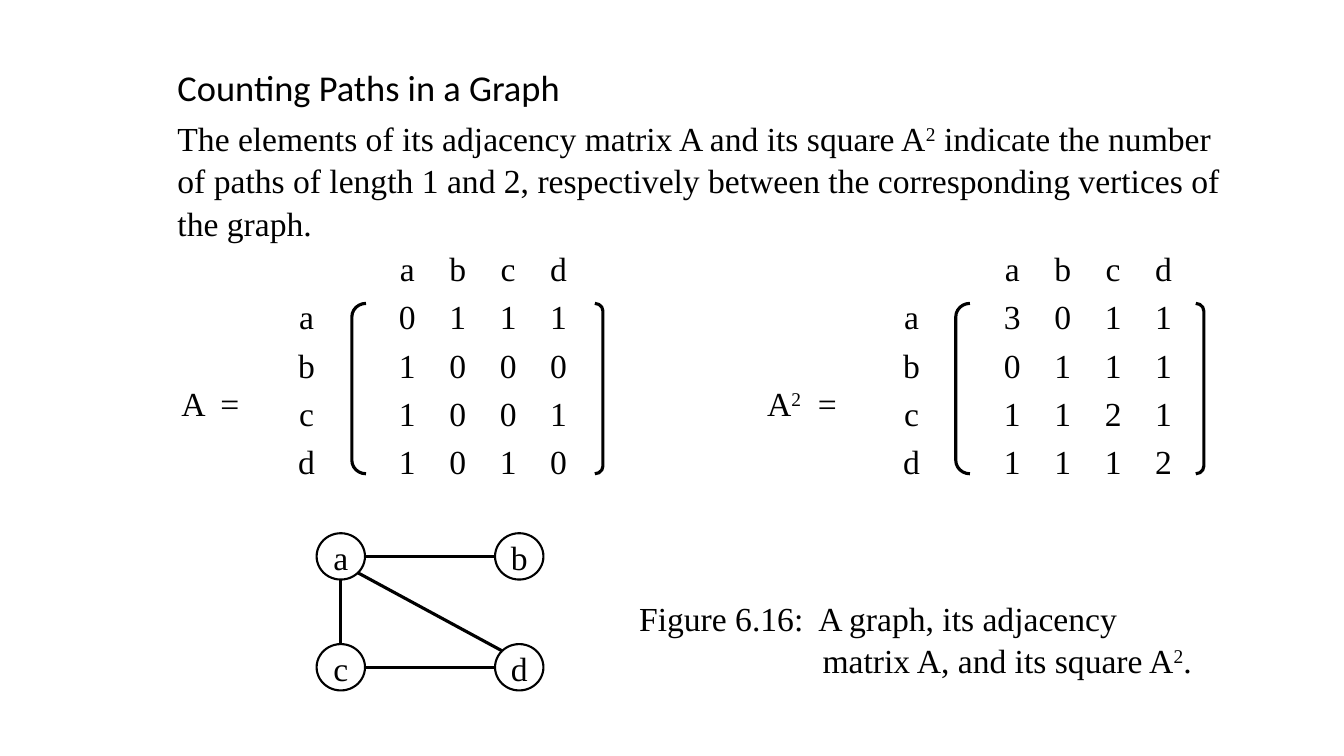
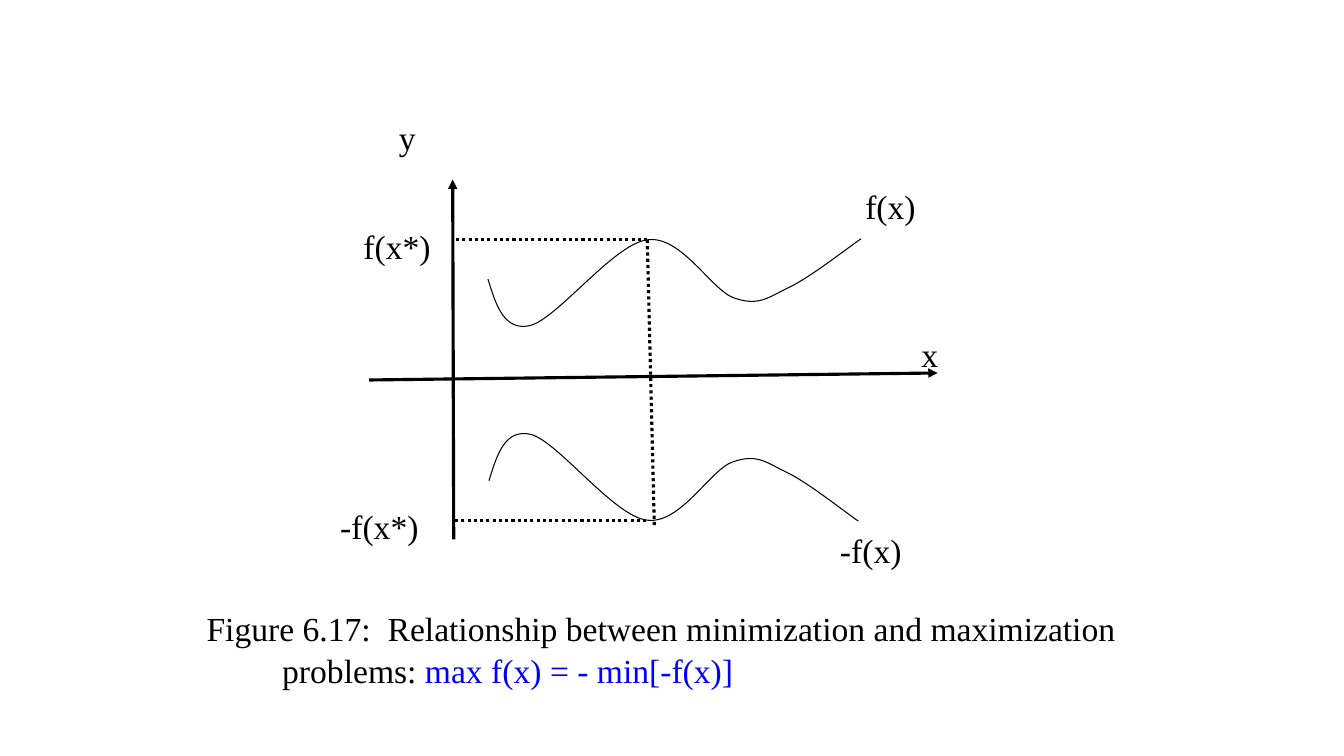
"""Build two slides on counting paths in a graph and on minimization versus maximization."""
from dataclasses import dataclass
from math import hypot
from typing import NamedTuple, Optional

from lxml import etree
from pptx import Presentation
from pptx import slide as sl
from pptx import util as u
from pptx.dml import color as dc
from pptx.enum import dml as ed
from pptx.enum import shapes as es
from pptx.enum import text as et
from pptx.oxml import ns
from pptx.text import text as tx

Point = tuple[float, float]
Align = et.PP_ALIGN


@dataclass(frozen=True)
class Theme:
    ink: dc.RGBColor = dc.RGBColor(0x00, 0x00, 0x00)
    paper: dc.RGBColor = dc.RGBColor(0xFF, 0xFF, 0xFF)
    accent: dc.RGBColor = dc.RGBColor(0x00, 0x00, 0xFF)
    title_font: str = "Calibri"
    text_font: str = "Times New Roman"
    title_size: float = 26
    text_size: float = 24
    line_spacing: float = 1.05
    curve_width: float = 0.75
    node_width: float = 1.5
    line_width: float = 2.25


THEME = Theme()


class Piece(NamedTuple):
    text: str
    color: dc.RGBColor = THEME.ink
    superscript: bool = False
    new_line: bool = False


class Box(NamedTuple):
    left: float
    top: float
    width: float
    height: float


@dataclass(frozen=True)
class Label:
    box: Box
    pieces: tuple[Piece, ...]
    align: Align = Align.LEFT
    indent: float = 0
    hanging: float = 0


@dataclass(frozen=True)
class Matrix:
    left: float
    bracket_left: float
    bracket_right: float
    rows: tuple[str, ...]


@dataclass(frozen=True)
class Edge:
    start: str
    end: str
    direction: Point


@dataclass(frozen=True)
class Line:
    start: Point
    end: Point
    dotted: bool = False
    arrow: bool = False


SQUARED = Piece("2", superscript=True)
VERTICES = "abcd"
MATRIX_TOP, MATRIX_ROW, MATRIX_COLUMN, ROW_LABEL_WIDTH = 2.43, 0.48, 0.5, 1.5
BRACKET_TOP, BRACKET_HEIGHT, BRACKET_CURVE = 3.01, 1.69, 0.95
NODE_WIDTH, NODE_HEIGHT = 0.48, 0.46

TITLE = Label(Box(1.66, 0.57, 10.57, 0.53), (Piece("Counting Paths in a Graph"),))
BODY = Label(Box(1.66, 1.1, 10.57, 1.3), (
    Piece("The elements of its adjacency matrix A and its square A"),
    SQUARED,
    Piece(" indicate the number of paths of length 1 and 2, respectively between "
          "the corresponding vertices of the graph."),
))
MATRICES = (
    Matrix(2.29, 3.49, 5.9, ("0111", "1000", "1001", "1010")),
    Matrix(8.29, 9.48, 11.86, ("3011", "0111", "1121", "1112")),
)
NODES = {"a": (3.38, 5.52), "b": (5.15, 5.52), "c": (3.38, 6.62), "d": (5.15, 6.62)}
EDGES = (
    Edge("a", "b", (1, 0)),
    Edge("c", "d", (1, 0)),
    Edge("a", "c", (0, 1)),
    Edge("a", "d", (1, 1)),
)
GRAPH_LABELS = (
    Label(Box(1.47, 3.73, 1.07, 0.43), (Piece("A  ="),), indent=0.23),
    Label(Box(7.28, 3.73, 1.31, 0.43), (Piece("A"), SQUARED, Piece("  =")), indent=0.23),
    Label(Box(6.24, 5.86, 5.92, 0.91), (
        Piece("Figure 6.16:  A graph, its adjacency"),
        Piece("matrix A, and its square A", new_line=True),
        SQUARED,
        Piece("."),
    ), hanging=1.82),
)

MAXIMUM, MINIMUM = (6.42, 2.38), (6.41, 5.16)
AXIS_X = 4.49
PLOT_LINES = (
    Line((4.5, 5.35), (AXIS_X, 1.78), arrow=True),
    Line((3.66, 3.77), (9.3, 3.7), arrow=True),
    Line(MAXIMUM, (6.49, 5.22), dotted=True),
    Line(MAXIMUM, (AXIS_X, MAXIMUM[1]), dotted=True),
    Line(MINIMUM, (AXIS_X, MINIMUM[1]), dotted=True),
)
CURVE = (
    (4.84, 2.77),
    (4.92, 3.03), (5, 3.29), (5.26, 3.23),
    (5.53, 3.16), (6.09, 2.42), MAXIMUM,
    (6.76, 2.33), (7.06, 2.89), (7.29, 2.96),
    (7.53, 3.04), (7.62, 2.95), (7.83, 2.85),
    (8.04, 2.75), (8.42, 2.45), (8.54, 2.37),
)
MIRRORED_CURVE = tuple((4.85 + 0.99 * (x - CURVE[0][0]), MAXIMUM[1] + MINIMUM[1] - y)
                       for x, y in CURVE)
PLOT_LABELS = (
    Label(Box(3.34, 2.17, 1.03, 0.53), (Piece("f(x*)"),), Align.RIGHT),
    Label(Box(3.22, 4.95, 1.03, 0.53), (Piece("-f(x*)"),), Align.RIGHT),
    Label(Box(3.73, 1.09, 0.49, 0.5), (Piece("y"),), Align.RIGHT),
    Label(Box(9.04, 3.24, 0.4, 0.5), (Piece("x"),)),
    Label(Box(8.19, 1.78, 0.99, 0.5), (Piece("f(x)"),), Align.RIGHT),
    Label(Box(8.05, 5.19, 0.99, 0.5), (Piece("-f(x)"),), Align.RIGHT),
    Label(Box(1.95, 5.96, 9.48, 0.91), (
        Piece("Figure 6.17:  Relationship between minimization and maximization problems: "),
        Piece("max f(x) = - min[-f(x)]", THEME.accent),
    ), hanging=0.75),
)


def inches(*values: float) -> list[u.Length]:
    return [u.Inches(value) for value in values]


def write(frame: tx.TextFrame, pieces: tuple[Piece, ...], align: Align = Align.LEFT,
          font: str = THEME.text_font, size: float = THEME.text_size,
          indent: float = 0, hanging: float = 0) -> None:
    paragraph = frame.paragraphs[0]
    paragraph.alignment = align
    paragraph.line_spacing = THEME.line_spacing
    paragraph.space_before = u.Pt(0)
    properties = paragraph._p.get_or_add_pPr()
    properties.set("marL", str(u.Inches(indent + hanging)))
    properties.set("indent", str(-u.Inches(hanging)))
    etree.SubElement(properties, ns.qn("a:buNone"))
    for piece in pieces:
        if piece.new_line:
            paragraph.add_line_break()
        run = paragraph.add_run()
        run.text = piece.text
        run.font.name = font
        run.font.size = u.Pt(size)
        run.font.bold = False
        run.font.color.rgb = piece.color
        if piece.superscript:
            run._r.get_or_add_rPr().set("baseline", "30000")


def prepare(frame: tx.TextFrame, anchor: et.MSO_ANCHOR = et.MSO_ANCHOR.TOP) -> tx.TextFrame:
    frame.word_wrap = True
    frame.auto_size = et.MSO_AUTO_SIZE.NONE
    frame.vertical_anchor = anchor
    return frame


def fill_placeholder(shape, label: Label, font: str, size: float) -> None:
    shape.left, shape.top, shape.width, shape.height = inches(*label.box)
    write(prepare(shape.text_frame), label.pieces, font=font, size=size)


def add_label(slide: sl.Slide, label: Label) -> None:
    shape = slide.shapes.add_textbox(*inches(*label.box))
    write(prepare(shape.text_frame), label.pieces, label.align,
          indent=label.indent, hanging=label.hanging)


def style_line(shape, width: float) -> None:
    shape.line.color.rgb = THEME.ink
    shape.line.width = u.Pt(width)


def add_line(slide: sl.Slide, line: Line) -> None:
    connector = slide.shapes.add_connector(
        es.MSO_CONNECTOR.STRAIGHT, *inches(*line.start, *line.end))
    style_line(connector, THEME.line_width)
    if line.dotted:
        connector.line.dash_style = ed.MSO_LINE.ROUND_DOT
    if line.arrow:
        outline = connector._element.xpath(".//a:ln")[0]
        etree.SubElement(outline, ns.qn("a:tailEnd"), type="triangle")
    etree.SubElement(connector._element.spPr, ns.qn("a:effectLst"))


def add_outline(slide: sl.Slide, kind: es.MSO_SHAPE, box: Box, width: float,
                fill: Optional[dc.RGBColor] = None):
    shape = slide.shapes.add_shape(kind, *inches(*box))
    shape.shadow.inherit = False
    style_line(shape, width)
    if fill is None:
        shape.fill.background()
    else:
        shape.fill.solid()
        shape.fill.fore_color.rgb = fill
    return shape


def add_matrix(slide: sl.Slide, matrix: Matrix) -> None:
    grid = (" " + VERTICES, *(name + row for name, row in zip(VERTICES, matrix.rows)))
    count = len(grid)
    width = ROW_LABEL_WIDTH + (count - 1) * MATRIX_COLUMN
    table = slide.shapes.add_table(
        count, count, *inches(matrix.left, MATRIX_TOP, width, count * MATRIX_ROW)).table
    table.first_row = table.horz_banding = False
    for index, column in enumerate(table.columns):
        column.width = u.Inches(MATRIX_COLUMN if index else ROW_LABEL_WIDTH)
    for row, values in enumerate(grid):
        table.rows[row].height = u.Inches(MATRIX_ROW)
        for column, value in enumerate(values):
            cell = table.cell(row, column)
            cell.fill.background()
            cell.margin_left = cell.margin_right = cell.margin_top = cell.margin_bottom = 0
            cell.vertical_anchor = et.MSO_ANCHOR.MIDDLE
            write(cell.text_frame, (Piece(value.strip()),), Align.CENTER)
    for kind, left, bracket_width in (
            (es.MSO_SHAPE.LEFT_BRACKET, matrix.bracket_left, 0.14),
            (es.MSO_SHAPE.RIGHT_BRACKET, matrix.bracket_right, 0.08)):
        box = Box(left, BRACKET_TOP, bracket_width, BRACKET_HEIGHT)
        add_outline(slide, kind, box, THEME.line_width).adjustments[0] = BRACKET_CURVE


def add_node(slide: sl.Slide, name: str, center: Point) -> None:
    box = Box(center[0] - NODE_WIDTH / 2, center[1] - NODE_HEIGHT / 2, NODE_WIDTH, NODE_HEIGHT)
    shape = add_outline(slide, es.MSO_SHAPE.OVAL, box, THEME.node_width, THEME.paper)
    frame = prepare(shape.text_frame, et.MSO_ANCHOR.MIDDLE)
    frame.margin_left = frame.margin_right = frame.margin_top = frame.margin_bottom = 0
    write(frame, (Piece(name),), Align.CENTER)


def add_edge(slide: sl.Slide, edge: Edge) -> None:
    length = hypot(*edge.direction)
    reach_x = NODE_WIDTH / 2 * edge.direction[0] / length
    reach_y = NODE_HEIGHT / 2 * edge.direction[1] / length
    (start_x, start_y), (end_x, end_y) = NODES[edge.start], NODES[edge.end]
    add_line(slide, Line((start_x + reach_x, start_y + reach_y),
                         (end_x - reach_x, end_y - reach_y)))


def add_curve(slide: sl.Slide, points: tuple[Point, ...]) -> None:
    start, *others = [tuple(inches(*point)) for point in points]
    builder = slide.shapes.build_freeform(*start)
    builder.add_line_segments(others, close=False)
    shape = builder.convert_to_shape()
    shape.shadow.inherit = False
    shape.fill.background()
    style_line(shape, THEME.curve_width)
    outline = shape._element.xpath(".//a:path")[0]
    segments = outline.findall(ns.qn("a:lnTo"))
    for first in range(0, len(segments), 3):
        bezier = etree.SubElement(outline, ns.qn("a:cubicBezTo"))
        for segment in segments[first:first + 3]:
            bezier.append(segment[0])
            outline.remove(segment)


def build_graph_slide(presentation) -> None:
    slide = presentation.slides.add_slide(presentation.slide_layouts[1])
    fill_placeholder(slide.shapes.title, TITLE, THEME.title_font, THEME.title_size)
    fill_placeholder(slide.placeholders[1], BODY, THEME.text_font, THEME.text_size)
    for matrix in MATRICES:
        add_matrix(slide, matrix)
    for name, center in NODES.items():
        add_node(slide, name, center)
    for edge in EDGES:
        add_edge(slide, edge)
    for label in GRAPH_LABELS:
        add_label(slide, label)


def build_plot_slide(presentation) -> None:
    slide = presentation.slides.add_slide(presentation.slide_layouts[6])
    for line in PLOT_LINES:
        add_line(slide, line)
    for curve in (CURVE, MIRRORED_CURVE):
        add_curve(slide, curve)
    for label in PLOT_LABELS:
        add_label(slide, label)


def main() -> None:
    presentation = Presentation()
    presentation.slide_width, presentation.slide_height = inches(13.33, 7.5)
    build_graph_slide(presentation)
    build_plot_slide(presentation)
    presentation.save("out.pptx")


if __name__ == "__main__":
    main()
